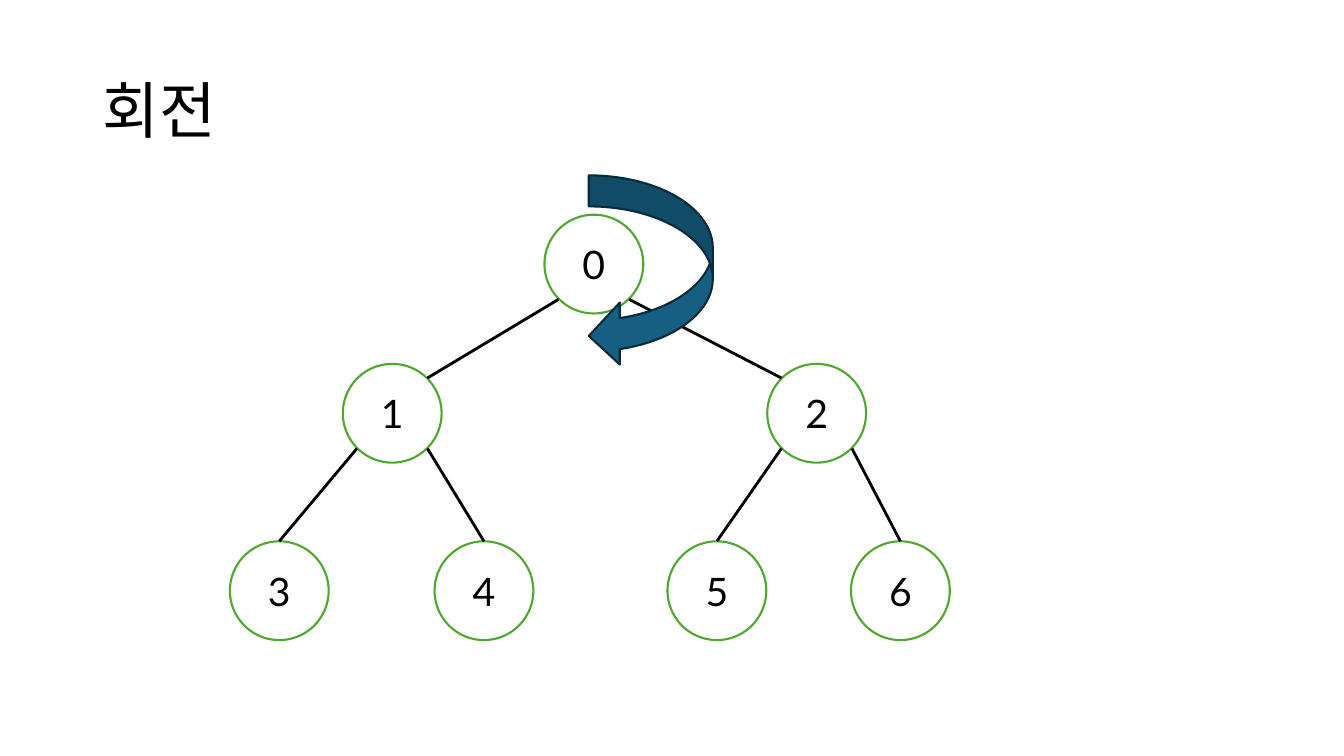
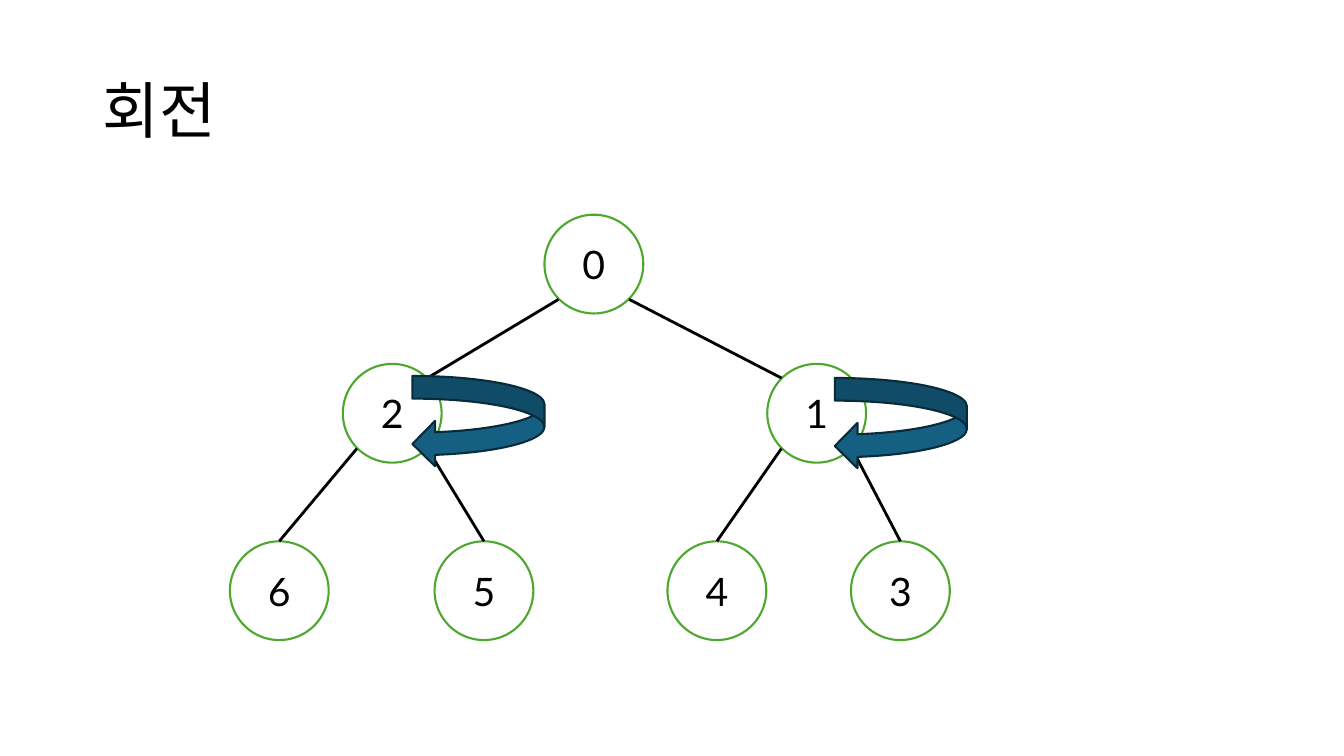
from dataclasses import dataclass
from math import sqrt

from lxml import etree
from pptx import Presentation
from pptx.dml.color import RGBColor
from pptx.enum.shapes import MSO_CONNECTOR, MSO_SHAPE
from pptx.enum.text import MSO_ANCHOR, MSO_AUTO_SIZE, PP_ALIGN
from pptx.oxml.ns import qn
from pptx.shapes.autoshape import Shape
from pptx.slide import Slide
from pptx.util import Emu, Pt

ELLIPSE = MSO_SHAPE.OVAL
TURN_ARROW = MSO_SHAPE.CURVED_LEFT_ARROW
STRAIGHT = MSO_CONNECTOR.STRAIGHT
LEFT, CENTER = PP_ALIGN.LEFT, PP_ALIGN.CENTER
MIDDLE = MSO_ANCHOR.MIDDLE
NO_AUTOFIT = MSO_AUTO_SIZE.NONE

BLACK = RGBColor(0x00, 0x00, 0x00)
WHITE = RGBColor(0xFF, 0xFF, 0xFF)
GREEN = RGBColor(0x4E, 0xA7, 0x2E)
TEAL = RGBColor(0x15, 0x60, 0x82)
DARK_TEAL = RGBColor(0x09, 0x2A, 0x39)

FONT = "Lato"
EMU_PER_PX = 9144
TITLE_LAYOUT = 5
NODE_SIZE = 98
DIAGONAL = round(NODE_SIZE / 2 / sqrt(2))
TOP_SITE = 0
FIRST_LEAF = 3


@dataclass(frozen=True)
class Point:
    x: int
    y: int


@dataclass(frozen=True)
class Box:
    x: int
    y: int
    w: int
    h: int


@dataclass(frozen=True)
class TreeSlide:
    title: str
    labels: str
    turns: tuple[Box, ...]


TITLE_BOX = Box(92, 40, 1150, 145)
NODE_CENTERS = (
    Point(589, 262),
    Point(389, 410), Point(810, 410),
    Point(277, 586), Point(480, 586), Point(711, 586), Point(893, 586),
)
SLIDES = (
    TreeSlide("회전", "0123456", (Box(584, 174, 123, 190),)),
    TreeSlide("회전", "0216543", (Box(409, 373, 131, 90), Box(828, 375, 131, 90))),
)


def px(n: int) -> Emu:
    return Emu(n * EMU_PER_PX)


def add_text(sp: Shape, text: str, size: int, align: PP_ALIGN) -> None:
    tf = sp.text_frame
    tf.word_wrap = True
    tf.auto_size = NO_AUTOFIT
    tf.vertical_anchor = MIDDLE
    p = tf.paragraphs[0]
    p.alignment = align
    r = p.add_run()
    r.text = text
    r.font.name = FONT
    r.font.size = Pt(size)
    r.font.color.rgb = BLACK


def add_title(s: Slide, text: str) -> None:
    sp = s.shapes.title
    sp.left, sp.top = px(TITLE_BOX.x), px(TITLE_BOX.y)
    sp.width, sp.height = px(TITLE_BOX.w), px(TITLE_BOX.h)
    add_text(sp, text, 44, LEFT)
    sp.text_frame.paragraphs[0].line_spacing = 0.9


def add_outlined(s: Slide, kind: MSO_SHAPE, box: Box,
                 fill: RGBColor, line: RGBColor) -> Shape:
    sp = s.shapes.add_shape(kind, px(box.x), px(box.y), px(box.w), px(box.h))
    sp.shadow.inherit = False
    sp.fill.solid()
    sp.fill.fore_color.rgb = fill
    sp.line.color.rgb = line
    sp.line.width = Pt(1.5)
    return sp


def add_node(s: Slide, center: Point, label: str) -> Shape:
    half = NODE_SIZE // 2
    box = Box(center.x - half, center.y - half, NODE_SIZE, NODE_SIZE)
    sp = add_outlined(s, ELLIPSE, box, WHITE, GREEN)
    add_text(sp, label, 28, CENTER)
    return sp


def add_edge(s: Slide, nodes: list[Shape], child: int) -> None:
    start, end = NODE_CENTERS[(child - 1) // 2], NODE_CENTERS[child]
    side = DIAGONAL if end.x > start.x else -DIAGONAL
    cxn = s.shapes.add_connector(
        STRAIGHT,
        px(start.x + side), px(start.y + DIAGONAL),
        px(end.x - side), px(end.y - DIAGONAL),
    )
    if child >= FIRST_LEAF:
        cxn.end_connect(nodes[child], TOP_SITE)
    cxn.line.color.rgb = BLACK
    cxn.line.width = Pt(2)
    etree.SubElement(cxn._element.spPr, qn("a:effectLst"))


def add_tree_slide(prs: Presentation, tree: TreeSlide) -> None:
    s = prs.slides.add_slide(prs.slide_layouts[TITLE_LAYOUT])
    add_title(s, tree.title)
    nodes = [add_node(s, center, label)
             for center, label in zip(NODE_CENTERS, tree.labels)]
    for child in range(1, len(nodes)):
        add_edge(s, nodes, child)
    for box in tree.turns:
        add_outlined(s, TURN_ARROW, box, TEAL, DARK_TEAL)


def main() -> None:
    prs = Presentation()
    prs.slide_width, prs.slide_height = px(1333), px(750)
    for tree in SLIDES:
        add_tree_slide(prs, tree)
    prs.save("out.pptx")


if __name__ == "__main__":
    main()
